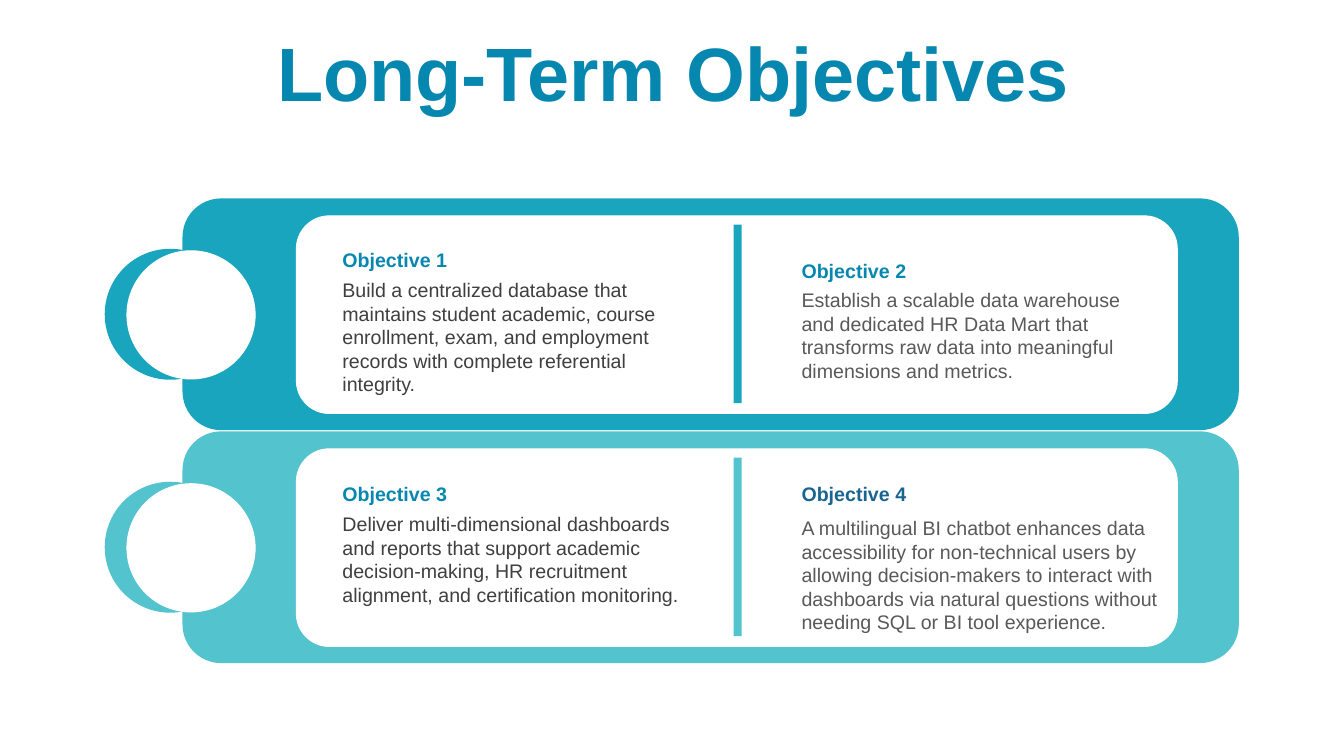
from pptx import Presentation
from pptx.dml.color import RGBColor
from pptx.enum.shapes import MSO_SHAPE
from pptx.enum.text import MSO_ANCHOR, MSO_AUTO_SIZE, PP_ALIGN
from pptx.util import Cm, Pt

ROUNDED, OVAL, RECTANGLE = MSO_SHAPE.ROUNDED_RECTANGLE, MSO_SHAPE.OVAL, MSO_SHAPE.RECTANGLE
MIDDLE, TOP = MSO_ANCHOR.MIDDLE, MSO_ANCHOR.TOP
CENTER, LEFT = PP_ALIGN.CENTER, PP_ALIGN.LEFT
NO_AUTOFIT = MSO_AUTO_SIZE.NONE

# Content
TITLE = "Long-Term Objectives"
COLORS = {
    "title": "0587AF", "navy": "196491", "teal": "19A5BE", "aqua": "53C3CD",
    "dark": "3F3F3F", "gray": "595959", "white": "FFFFFF",
}
ROW_COLORS = ["teal", "aqua"]
# heading, its color and top; description, its color, top, width and height (cm)
OBJECTIVES = [
    ("Objective 1", "title", 6.12,
     "Build a centralized database that maintains student academic, course enrollment, "
     "exam, and employment records with complete referential integrity.",
     "dark", 6.88, 9.6, 3.86),
    ("Objective 2", "title", 6.4,
     "Establish a scalable data warehouse and dedicated HR Data Mart that transforms "
     "raw data into meaningful dimensions and metrics.",
     "gray", 7.14, 8.76, 2.64),
    ("Objective 3", "title", 12.01,
     "Deliver multi-dimensional dashboards and reports that support academic "
     "decision-making, HR recruitment alignment, and certification monitoring.",
     "dark", 12.78, 9.6, 2.64),
    ("Objective 4", "navy", 12.01,
     "A multilingual BI chatbot enhances data accessibility for non-technical users by "
     "allowing decision-makers to interact with dashboards via natural questions without "
     "needing SQL or BI tool experience.",
     "gray", 12.88, 9.6, 3.25),
]

# Layout (cm)
ROW_PITCH = 5.87
COLUMN_LEFTS = [8.38, 19.95]
HEADING_WIDTH, HEADING_HEIGHT = 8.76, 0.86
# preset, left, top in the first row, width, height, white or row color
ROW_PARTS = [
    (ROUNDED, 4.6, 5.0, 26.62, 5.84, False),
    (ROUNDED, 7.47, 5.44, 22.2, 4.98, True),
    (OVAL, 2.64, 6.27, 3.3, 3.3, False),
    (OVAL, 3.2, 6.32, 3.23, 3.23, True),
    (RECTANGLE, 18.49, 5.66, 0.2, 4.5, False),
]

prs = Presentation()
prs.slide_width, prs.slide_height = Cm(33.87), Cm(19.05)
slide = prs.slides.add_slide(prs.slide_layouts[5])


def rgb(name):
    return RGBColor.from_string(COLORS[name])


def write(box, text, color, size=14, bold=False, align=LEFT, anchor=TOP, spacing=1.0):
    frame = box.text_frame
    frame.word_wrap = True
    frame.auto_size = NO_AUTOFIT
    frame.vertical_anchor = anchor
    frame.text = text
    paragraph = frame.paragraphs[0]
    paragraph.alignment = align
    paragraph.line_spacing = spacing
    font = paragraph.runs[0].font
    font.name, font.size, font.bold = "Arial", Pt(size), bold
    font.color.rgb = rgb(color)


def add_part(preset, left, top, width, height, color):
    part = slide.shapes.add_shape(preset, Cm(left), Cm(top), Cm(width), Cm(height))
    part.shadow.inherit = False
    part.fill.solid()
    part.fill.fore_color.rgb = rgb(color)
    if color == "white":
        part.line.color.rgb = rgb(color)
        part.line.width = Pt(0.75)
    else:
        part.line.fill.background()


def add_label(left, top, width, height, text, color, **style):
    label = slide.shapes.add_textbox(Cm(left), Cm(top), Cm(width), Cm(height))
    write(label, text, color, **style)


# Title
title = slide.shapes.title
title.left, title.top, title.width, title.height = Cm(0.89), Cm(0.94), Cm(32.16), Cm(2.01)
write(title, TITLE, "title", size=54, bold=True, align=CENTER, anchor=MIDDLE, spacing=0.9)

# Row frames
for row, row_color in enumerate(ROW_COLORS):
    for preset, left, top, width, height, is_white in ROW_PARTS:
        add_part(preset, left, top + row * ROW_PITCH, width, height,
                 "white" if is_white else row_color)

# Objectives
for index, objective in enumerate(OBJECTIVES):
    heading, heading_color, heading_top, description, color, top, width, height = objective
    left = COLUMN_LEFTS[index % 2]
    add_label(left, heading_top, HEADING_WIDTH, HEADING_HEIGHT, heading, heading_color, bold=True)
    add_label(left, top, width, height, description, color)

prs.save("out.pptx")
